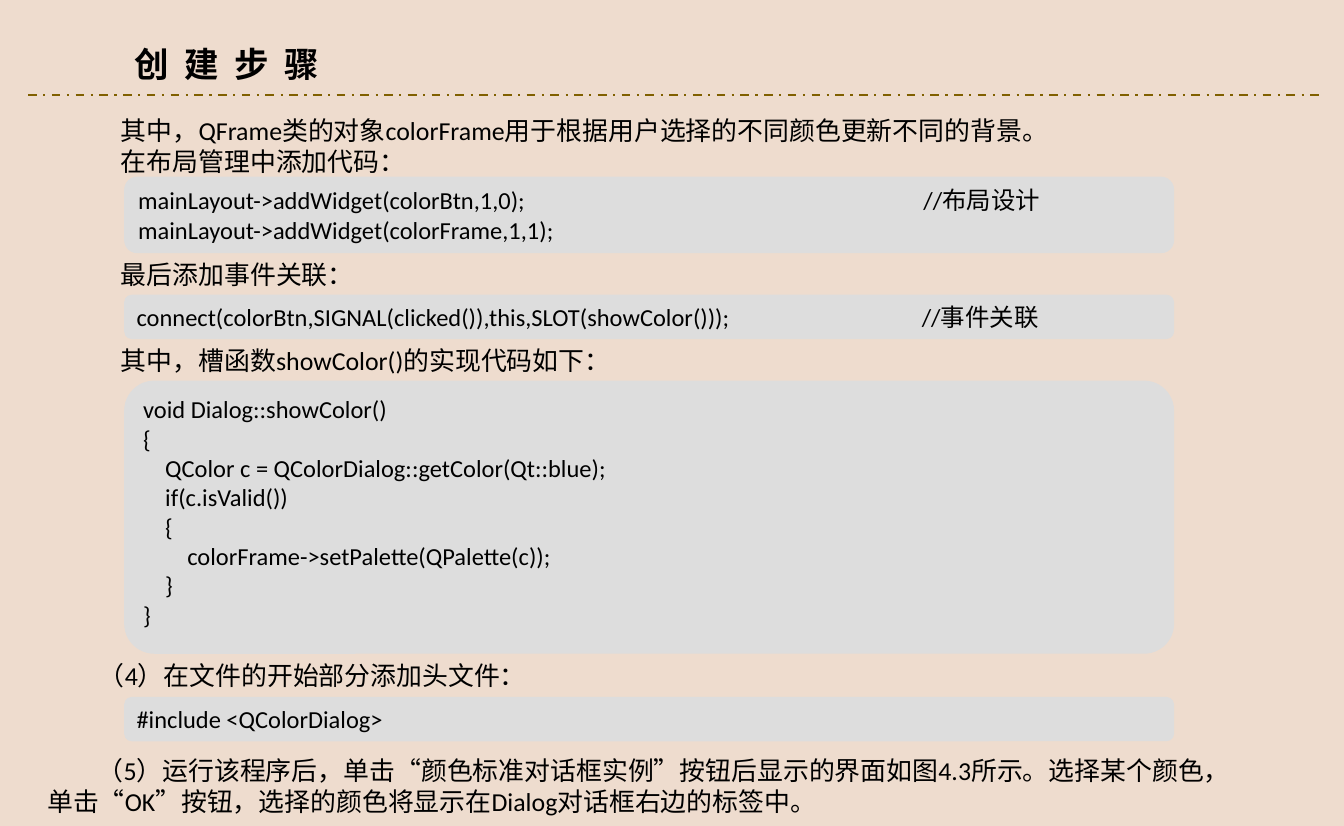
from dataclasses import dataclass

from lxml import etree
from pptx import Presentation
from pptx.dml.color import RGBColor
from pptx.enum import dml, shapes, text
from pptx.oxml import ns
from pptx.util import Cm, Pt

TITLE = "创 建 步 骤"
TITLE_BOX = (3.05, 0.94, 5.11, 1.27)
RULE = (0.69, 32.49, 2.34)

# left, top, width, height, wraps, first-line indent, paragraphs
CAPTIONS = [
    (2.72, 2.69, 26.67, 1.8, True, 0, [
        "其中，QFrame类的对象colorFrame用于根据用户选择的不同颜色更新不同的背景。",
        "在布局管理中添加代码：",
    ]),
    (2.72, 6.22, 6.27, 1.02, False, 0, ["最后添加事件关联："]),
    (2.72, 8.33, 12.65, 1.02, False, 0, ["其中，槽函数showColor()的实现代码如下："]),
    (2.18, 16.08, 11.1, 1.02, False, 0, ["（4）在文件的开始部分添加头文件："]),
    (0.91, 18.42, 29.92, 1.8, True, 1.24, [
        "（5）运行该程序后，单击“颜色标准对话框实例”按钮后显示的界面如图4.3所示。选择某个颜色，"
        "单击“OK”按钮，选择的颜色将显示在Dialog对话框右边的标签中。",
    ]),
]

# top, height, corner ratio, code lines
CODE_LEFT, CODE_WIDTH, COMMENT_TAB = 3.05, 25.78, 19.28
CODE_BLOCKS = [
    (4.34, 1.88, 0.17, [
        "mainLayout->addWidget(colorBtn,1,0);\t//布局设计",
        "mainLayout->addWidget(colorFrame,1,1);",
    ]),
    (7.24, 1.09, 0.17, [
        "connect(colorBtn,SIGNAL(clicked()),this,SLOT(showColor()));\t//事件关联",
    ]),
    (9.35, 6.71, 0.11, [
        "void Dialog::showColor()",
        "{",
        "    QColor c = QColorDialog::getColor(Qt::blue);",
        "    if(c.isValid())",
        "    {",
        "        colorFrame->setPalette(QPalette(c));",
        "    }",
        "}",
    ]),
    (17.12, 1.09, 0.17, ["#include <QColorDialog>"]),
]


@dataclass(frozen=True)
class Theme:
    font: str = "Calibri"
    ink: RGBColor = RGBColor(0, 0, 0)
    paper: RGBColor = RGBColor(0xEE, 0xDC, 0xCE)
    code_fill: RGBColor = RGBColor(0xDD, 0xDD, 0xDD)
    rule: RGBColor = RGBColor(0x80, 0x60, 0x00)
    title_size: int = 24
    title_spacing: float = 2.7
    caption_size: int = 18
    code_size: int = 17


THEME = Theme()


def write(shape, lines, size, wraps=True, bold=False, indent=0, tab=0, spacing=0):
    frame = shape.text_frame
    frame.word_wrap = wraps
    frame.auto_size = text.MSO_AUTO_SIZE.NONE
    frame.vertical_anchor = text.MSO_ANCHOR.TOP
    for index, line in enumerate(lines):
        paragraph = frame.add_paragraph() if index else frame.paragraphs[0]
        paragraph.alignment = text.PP_ALIGN.LEFT
        paragraph.line_spacing = 1.0
        paragraph.space_before = Pt(0)
        properties = paragraph._p.get_or_add_pPr()
        if indent:
            properties.set("indent", str(Cm(indent)))
        if tab and "\t" in line:
            tabs = etree.SubElement(properties, ns.qn("a:tabLst"))
            etree.SubElement(tabs, ns.qn("a:tab"), pos=str(Cm(tab)), algn="l")
        run = paragraph.add_run()
        run.text = line
        run.font.name = THEME.font
        run.font.size = Pt(size)
        run.font.bold = bold
        run.font.color.rgb = THEME.ink
        if spacing:
            run.font._element.set("spc", str(round(spacing * 100)))


def add_title(slide):
    title = slide.shapes.title
    title.left, title.top, title.width, title.height = map(Cm, TITLE_BOX)
    write(title, [TITLE], THEME.title_size, wraps=False, bold=True,
          spacing=THEME.title_spacing)


def add_rule(slide):
    start, end, height = map(Cm, RULE)
    rule = slide.shapes.add_connector(
        shapes.MSO_CONNECTOR.STRAIGHT, start, height, end, height)
    rule.line.color.rgb = THEME.rule
    rule.line.width = Pt(1.5)
    rule.line.dash_style = dml.MSO_LINE.DASH_DOT
    etree.SubElement(rule._element.spPr, ns.qn("a:effectLst"))


def add_caption(slide, left, top, width, height, wraps, indent, lines):
    caption = slide.shapes.add_textbox(Cm(left), Cm(top), Cm(width), Cm(height))
    write(caption, lines, THEME.caption_size, wraps=wraps, indent=indent)


def add_code(slide, top, height, corner, lines):
    block = slide.shapes.add_shape(
        shapes.MSO_SHAPE.ROUNDED_RECTANGLE,
        Cm(CODE_LEFT), Cm(top), Cm(CODE_WIDTH), Cm(height))
    block.adjustments[0] = corner
    block.shadow.inherit = False
    block.fill.solid()
    block.fill.fore_color.rgb = THEME.code_fill
    block.line.fill.background()
    write(block, lines, THEME.code_size, tab=COMMENT_TAB)


def main():
    presentation = Presentation()
    presentation.slide_width, presentation.slide_height = Cm(33), Cm(20.29)
    slide = presentation.slides.add_slide(
        presentation.slide_layouts.get_by_name("Title Only"))
    slide.background.fill.solid()
    slide.background.fill.fore_color.rgb = THEME.paper
    add_title(slide)
    add_rule(slide)
    for block in CODE_BLOCKS:
        add_code(slide, *block)
    for caption in CAPTIONS:
        add_caption(slide, *caption)
    presentation.save("out.pptx")


if __name__ == "__main__":
    main()
